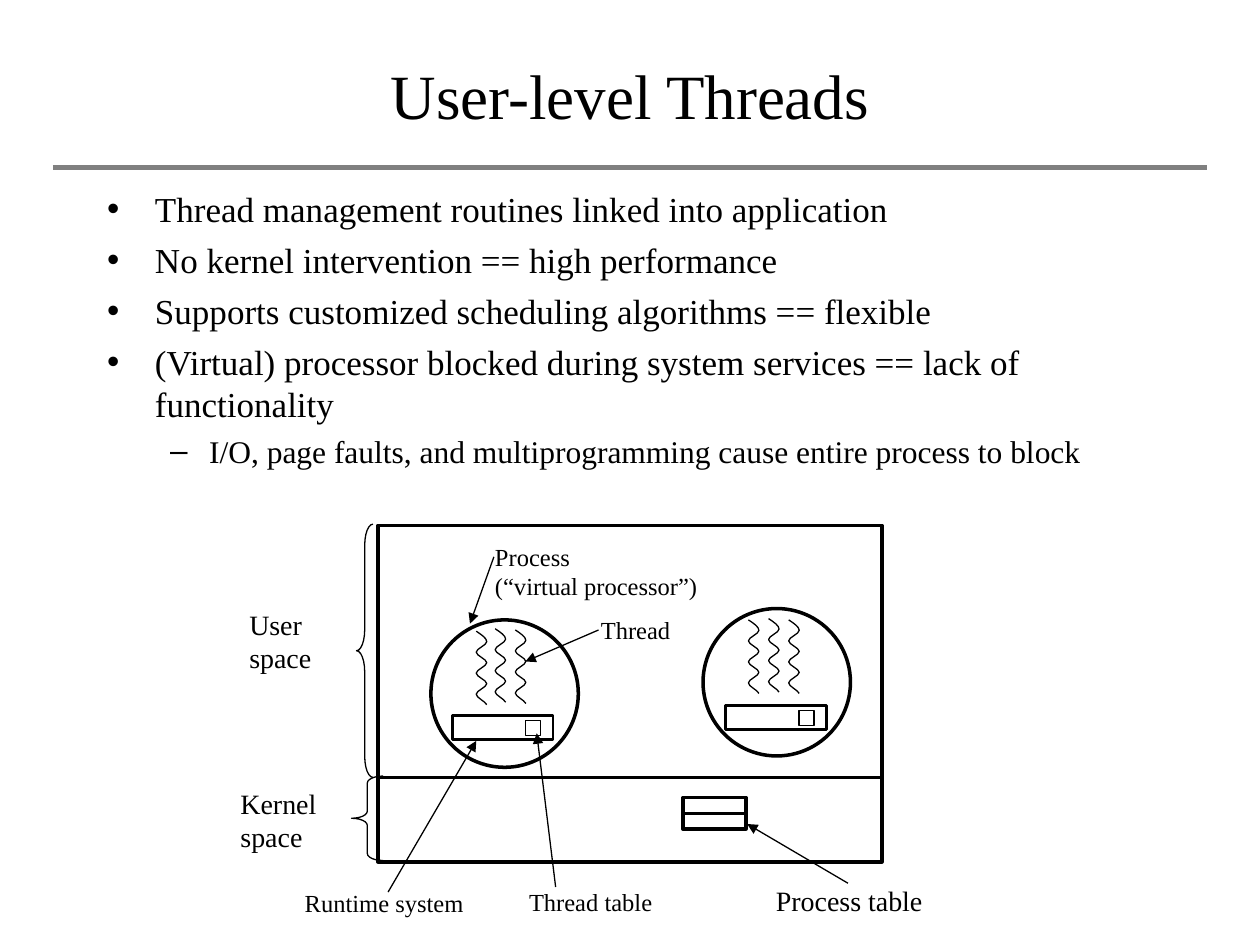
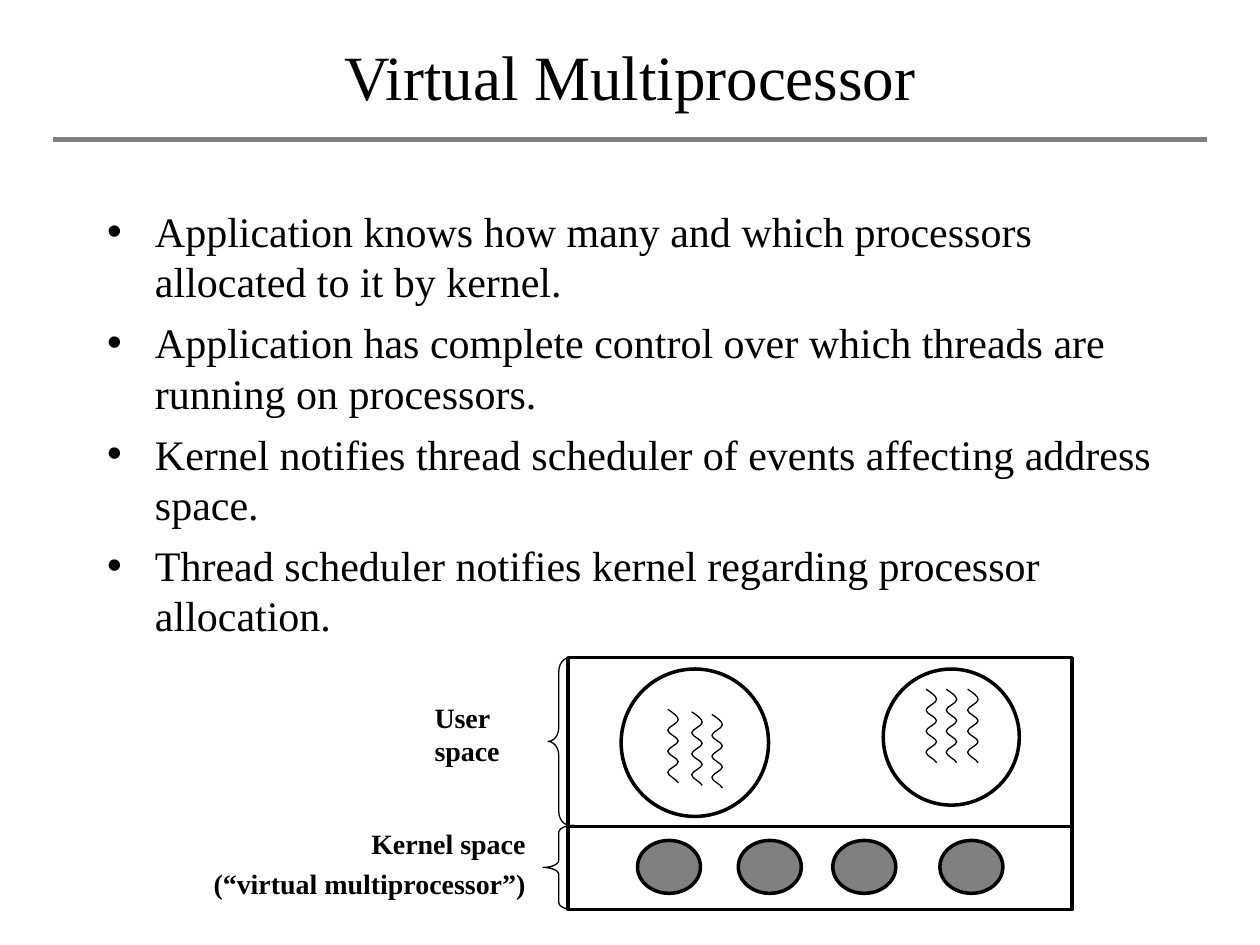
from dataclasses import dataclass

from lxml.etree import SubElement
from pptx import Presentation
from pptx.dml.color import RGBColor
from pptx.enum.shapes import MSO_CONNECTOR, MSO_SHAPE as SHAPE
from pptx.enum.text import MSO_ANCHOR as ANCHOR, MSO_AUTO_SIZE as AUTO_SIZE, PP_ALIGN as ALIGN
from pptx.oxml.ns import qn
from pptx.util import Inches, Pt


@dataclass(frozen=True)
class Theme:
    font: str = "Times New Roman"
    ink: RGBColor = RGBColor(0, 0, 0)
    gray: RGBColor = RGBColor(0x80, 0x80, 0x80)
    title: int = 36
    label: int = 16
    small: int = 14
    thin: float = 0.75
    medium: float = 1.5
    thick: float = 2
    rule: float = 3


theme = Theme()
BULLETS = [("•", 0.38, -0.38), ("–", 0.81, -0.31)]
WAVE_WIDTH, HALF_WAVE, HALF_WAVES = 1 / 12, 1 / 12, 7

pages = [
    {
        "title": "User-level Threads", "title_top": 0.25, "rule_y": 1.33,
        "body": (0.75, 1.44, 8.5, 2.5),
        "bullets": [
            ("Thread management routines linked into application", 0, 20, 5),
            ("No kernel intervention == high performance", 0, 20, 5),
            ("Supports customized scheduling algorithms == flexible", 0, 20, 5),
            ("(Virtual) processor blocked during system services == lack of functionality", 0, 20, 5),
            ("I/O, page faults, and multiprogramming cause entire process to block", 1, 18, 4.5),
        ],
        "memory": (3, 4.17, 4, 2.67), "kernel_y": 6.17,
        "braces": [(2.83, 4.16, 0.13, 2.01), (2.79, 6.16, 0.25, 0.67)],
        # Each process: left, top, diameter, thread offsets
        "processes": [
            (3.42, 4.92, 1.17, [(0.36, 0.09), (0.51, 0.07), (0.67, 0.08)]),
            (5.58, 4.83, 1.17, [(0.36, 0.09), (0.52, 0.08), (0.68, 0.09)]),
        ],
        # Each label: lines, box, size, bold, alignment, wrap
        "labels": [
            (["User space"], (1.88, 4.77, 0.92, 0.64), theme.label, False, ALIGN.LEFT, True),
            (["Kernel space"], (1.81, 6.19, 0.92, 0.64), theme.label, False, ALIGN.LEFT, True),
            (["Process table"], (6.06, 6.96, 1.38, 0.37), theme.label, False, ALIGN.LEFT, False),
            (["Process", "(“virtual processor”)"], (3.83, 4.25, 1.81, 0.57), theme.small, False, ALIGN.LEFT, False),
            (["Thread"], (4.67, 4.83, 0.75, 0.34), theme.small, False, ALIGN.LEFT, False),
            (["Runtime system"], (2.32, 7, 1.46, 0.34), theme.small, False, ALIGN.LEFT, False),
            (["Thread table"], (4.1, 6.99, 1.18, 0.34), theme.small, False, ALIGN.LEFT, False),
        ],
        "label_gap": 0,
    },
    {
        "title": "Virtual Multiprocessor", "title_top": 0.1, "rule_y": 1.11,
        "body": (0.75, 1.58, 8.5, 3.67),
        "bullets": [
            ("Application knows how many and which processors allocated to it by kernel.", 0, 24, 6),
            ("Application has complete control over which threads are running on processors.", 0, 24, 6),
            ("Kernel notifies thread scheduler of events affecting address space.", 0, 24, 6),
            ("Thread scheduler notifies kernel regarding processor allocation.", 0, 24, 6),
        ],
        "memory": (4.51, 5.22, 4, 2), "kernel_y": 6.56,
        "braces": [(4.35, 5.22, 0.17, 1.33), (4.31, 6.55, 0.25, 0.67)],
        "processes": [
            (4.93, 5.31, 1.17, [(0.37, 0.32), (0.56, 0.34), (0.72, 0.36)]),
            (7.01, 5.31, 1.08, [(0.34, 0.16), (0.5, 0.16), (0.67, 0.16)]),
        ],
        "labels": [
            (["User space"], (3.35, 5.51, 0.92, 0.64), theme.label, True, ALIGN.LEFT, True),
            (["Kernel space", "(“virtual multiprocessor”)"], (1.5, 6.51, 2.77, 0.69),
             theme.label, True, ALIGN.RIGHT, True),
        ],
        "label_gap": 4,
    },
]


def add_outline(page, kind, box, width, fill=None):
    shape = page.shapes.add_shape(kind, *map(Inches, box))
    shape.shadow.inherit = False
    if fill is None:
        shape.fill.background()
    else:
        shape.fill.solid()
        shape.fill.fore_color.rgb = fill
    shape.line.color.rgb = theme.ink
    shape.line.width = Pt(width)
    return shape


def add_line(page, start, end, width, color=theme.ink, arrow=False):
    line = page.shapes.add_connector(MSO_CONNECTOR.STRAIGHT, *map(Inches, (*start, *end)))
    line.line.color.rgb = color
    line.line.width = Pt(width)
    if arrow:
        SubElement(line.line._get_or_add_ln(), qn("a:tailEnd"), type="triangle")
    SubElement(line._element.spPr, qn("a:effectLst"))
    return line


deck = Presentation()
deck.slide_width, deck.slide_height = Inches(10), Inches(7.5)

for content in pages:
    page = deck.slides.add_slide(deck.slide_layouts[1])
    title, body = page.placeholders
    texts = [
        (title, (0.75, content["title_top"], 8.5, 1), ANCHOR.MIDDLE),
        (body, content["body"], ANCHOR.TOP),
    ]
    for holder, box, anchor in texts:
        holder.left, holder.top, holder.width, holder.height = map(Inches, box)
        holder.text_frame.auto_size = AUTO_SIZE.NONE
        holder.text_frame.word_wrap = True
        holder.text_frame.vertical_anchor = anchor

    para = title.text_frame.paragraphs[0]
    para.alignment = ALIGN.CENTER
    span = para.add_run()
    span.text = content["title"]
    span.font.name, span.font.size = theme.font, Pt(theme.title)
    span.font.color.rgb = theme.ink

    for index, (text, level, size, gap) in enumerate(content["bullets"]):
        para = body.text_frame.add_paragraph() if index else body.text_frame.paragraphs[0]
        mark, margin, indent = BULLETS[level]
        para.level = level
        props = para._p.get_or_add_pPr()
        props.set("marL", str(Inches(margin)))
        props.set("indent", str(Inches(indent)))
        SubElement(props, qn("a:buChar"), char=mark)
        para.space_before = Pt(gap if index else 0)
        span = para.add_run()
        span.text = text
        span.font.name, span.font.size = theme.font, Pt(size)
        span.font.color.rgb = theme.ink

    add_line(page, (0.42, content["rule_y"]), (9.58, content["rule_y"]), theme.rule, theme.gray)

    # Memory split into user space and kernel space
    left, top, width, height = content["memory"]
    add_outline(page, SHAPE.RECTANGLE, content["memory"], theme.thick)
    add_line(page, (left, content["kernel_y"]), (left + width, content["kernel_y"]), theme.thick)
    for box in content["braces"]:
        brace = add_outline(page, SHAPE.LEFT_BRACE, box, theme.thin)
        brace.adjustments[0] = box[3] / 12 / box[2]

    for left, top, size, threads in content["processes"]:
        add_outline(page, SHAPE.OVAL, (left, top, size, size), theme.thick)
        for dx, dy in threads:
            turns = [(Inches(left + dx + WAVE_WIDTH * (turn % 2)), Inches(top + dy + HALF_WAVE * turn))
                     for turn in range(HALF_WAVES + 1)]
            builder = page.shapes.build_freeform(*turns[0])
            builder.add_line_segments(turns[1:], close=False)
            thread = builder.convert_to_shape()
            thread.shadow.inherit = False
            thread.fill.background()
            thread.line.color.rgb = theme.ink
            thread.line.width = Pt(theme.thin)
            # Bend each straight segment into one curve; the two ends run out diagonally
            for turn, segment in enumerate(list(thread._element.iter(qn("a:lnTo")))):
                first_x = 0.5 if turn == 0 else turn % 2
                second_x = 0.85 if turn == HALF_WAVES - 1 else (turn + 1) % 2
                segment.tag = qn("a:cubicBezTo")
                for place, (x, y) in enumerate([(first_x, turn + 1 / 3), (second_x, turn + 2 / 3)]):
                    control = SubElement(segment, qn("a:pt"), x=str(Inches(WAVE_WIDTH * x)),
                                         y=str(Inches(HALF_WAVE * y)))
                    segment.insert(place, control)

    for lines, box, size, bold, alignment, wrap in content["labels"]:
        frame = page.shapes.add_textbox(*map(Inches, box)).text_frame
        frame.word_wrap = wrap
        frame.auto_size = AUTO_SIZE.SHAPE_TO_FIT_TEXT
        for index, text in enumerate(lines):
            para = frame.add_paragraph() if index else frame.paragraphs[0]
            para.alignment = alignment
            para.space_before = Pt(content["label_gap"] if index else 0)
            span = para.add_run()
            span.text = text
            span.font.name, span.font.size, span.font.bold = theme.font, Pt(size), bold
            span.font.color.rgb = theme.ink

threads_page, multiprocessor_page = deck.slides

# Runtime system with its thread table inside each process
for left, top in [(3.59, 5.68), (5.76, 5.6)]:
    add_outline(threads_page, SHAPE.RECTANGLE, (left, top, 0.8, 0.19), theme.medium)
    add_outline(threads_page, SHAPE.RECTANGLE, (left + 0.58, top + 0.04, 0.12, 0.12), theme.thin)

process_table = add_outline(threads_page, SHAPE.RECTANGLE, (5.42, 6.33, 0.5, 0.25), theme.thick)
table_row = add_line(threads_page, (5.42, 6.45), (5.92, 6.45), theme.thick)
table_row.begin_connect(process_table, 1)
table_row.end_connect(process_table, 3)

pointers = [
    ((6.73, 7.01), (5.93, 6.54)),
    ((3.92, 4.42), (3.73, 4.95)),
    ((4.75, 5), (4.17, 5.25)),
    ((3.08, 7.08), (3.78, 5.88)),
    ((4.41, 7.04), (4.26, 5.82)),
]
for start, end in pointers:
    add_line(threads_page, start, end, theme.thin, arrow=True)

# Virtual processors
for left in (5.06, 5.86, 6.61, 7.46):
    add_outline(multiprocessor_page, SHAPE.OVAL, (left, 6.67, 0.5, 0.42), theme.thick, theme.gray)

deck.save("out.pptx")
